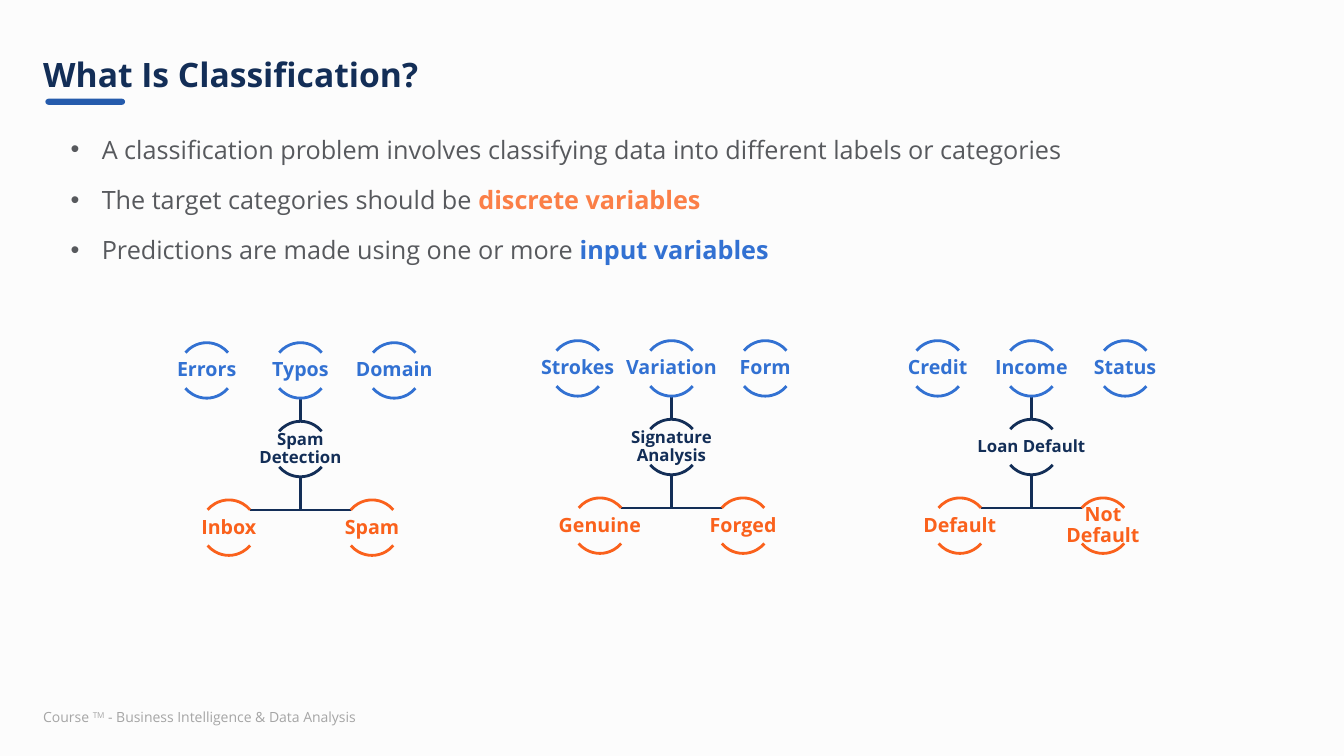
from dataclasses import dataclass

from lxml import etree
from pptx import Presentation
from pptx.dml.color import RGBColor
from pptx.enum.shapes import MSO_CONNECTOR, MSO_SHAPE
from pptx.enum.text import MSO_ANCHOR, PP_ALIGN
from pptx.oxml.ns import qn
from pptx.util import Inches, Pt

ARC, ROUNDED = MSO_SHAPE.ARC, MSO_SHAPE.ROUNDED_RECTANGLE
STRAIGHT = MSO_CONNECTOR.STRAIGHT
TOP, MIDDLE = MSO_ANCHOR.TOP, MSO_ANCHOR.MIDDLE
LEFT, CENTER = PP_ALIGN.LEFT, PP_ALIGN.CENTER


@dataclass(frozen=True)
class Theme:
    font: str = "Open Sans"
    background: str = "FCFCFC"
    navy: str = "132E57"
    rule: str = "255BAC"
    blue: str = "3271D2"
    orange: str = "FA611C"
    coral: str = "FB7F47"
    body: str = "57595D"
    muted: str = "A5A5A5"
    title_size: int = 24
    body_size: int = 18
    node_size: int = 14
    model_size: int = 12
    footer_size: int = 10
    line: int = 2


THEME = Theme()

TITLE = "What Is Classification?"
BULLETS = [
    ("A classification problem involves classifying data into different labels or categories", "", None),
    ("The target categories should be ", "discrete variables", THEME.coral),
    ("Predictions are made using one or more ", "input variables", THEME.blue),
]
FOOTER = ("Course ", "TM", " - Business Intelligence & Data Analysis")

# centre x, top y, inputs, model, outcomes
TREES = [
    (2.98, 3.40, ("Errors", "Typos", "Domain"), "Spam Detection", ("Inbox", "Spam")),
    (6.66, 3.38, ("Strokes", "Variation", "Form"), "Signature Analysis", ("Genuine", "Forged")),
    (10.23, 3.38, ("Credit", "Income", "Status"), "Loan Default", ("Default", "Not Default")),
]
CIRCLE = 0.55
ROW = 0.78
INPUT_STEP, OUTCOME_STEP = 0.93, 1.42
LABEL_WIDTH, LABEL_HEIGHT = 1.1, 0.35
BRANCH_REACH, BRANCH_DROP = 0.5, 0.33
ARC_ANGLES = [(132, 192), (24, 84)]


def color(value):
    return RGBColor.from_string(value)


def add_text(slide, box, margins, anchor=TOP):
    frame = slide.shapes.add_textbox(*map(Inches, box)).text_frame
    frame.word_wrap = True
    frame.vertical_anchor = anchor
    frame.margin_left = frame.margin_right = Inches(margins[0])
    frame.margin_top = frame.margin_bottom = Inches(margins[1])
    return frame


def style(paragraph, size, shade, bold=False, align=LEFT, spacing=1.0):
    paragraph.alignment = align
    paragraph.line_spacing = spacing
    font = paragraph.font
    font.name, font.size, font.bold = THEME.font, Pt(size), bold
    font.color.rgb = color(shade)


def add_line(slide, *ends):
    line = slide.shapes.add_connector(STRAIGHT, *map(Inches, ends))
    line.line.color.rgb = color(THEME.navy)
    line.line.width = Pt(THEME.line)
    etree.SubElement(line._element.spPr, qn("a:effectLst"))


def add_node(slide, x, y, text, shade, size):
    """Draw a label between two arcs of a circle whose top centre is (x, y)."""
    for angles in ARC_ANGLES:
        arc = slide.shapes.add_shape(ARC, *map(Inches, (x - CIRCLE / 2, y, CIRCLE, CIRCLE)))
        arc.adjustments[0], arc.adjustments[1] = angles
        arc.shadow.inherit = False
        arc.fill.background()
        arc.line.color.rgb = color(shade)
        arc.line.width = Pt(THEME.line)
    box = (x - LABEL_WIDTH / 2, y + (CIRCLE - LABEL_HEIGHT) / 2, LABEL_WIDTH, LABEL_HEIGHT)
    paragraph = add_text(slide, box, (0.01, 0.01), MIDDLE).paragraphs[0]
    paragraph.text = text
    style(paragraph, size, shade, True, CENTER, 0.9)


def add_tree(slide, x, top, inputs, model, outcomes):
    model_top, outcome_top = top + ROW, top + 2 * ROW
    branch_y = model_top + CIRCLE + BRANCH_DROP
    add_line(slide, x, top + CIRCLE, x, model_top)
    add_line(slide, x, model_top + CIRCLE, x, branch_y)
    add_line(slide, x - BRANCH_REACH, branch_y, x + BRANCH_REACH, branch_y)
    add_node(slide, x, model_top, model, THEME.navy, THEME.model_size)
    for labels, y, step, shade in (
        (inputs, top, INPUT_STEP, THEME.blue),
        (outcomes, outcome_top, OUTCOME_STEP, THEME.orange),
    ):
        for index, label in enumerate(labels):
            offset = (index - (len(labels) - 1) / 2) * step
            add_node(slide, x + offset, y, label, shade, THEME.node_size)


def add_heading(slide):
    bar = slide.shapes.add_shape(ROUNDED, *map(Inches, (0.45, 0.98, 0.79, 0.06)))
    bar.adjustments[0] = 0.5
    bar.shadow.inherit = False
    bar.fill.solid()
    bar.fill.fore_color.rgb = color(THEME.rule)
    bar.line.fill.background()
    paragraph = add_text(slide, (0.33, 0.38, 12.65, 0.77), (0.1, 0.05), MIDDLE).paragraphs[0]
    paragraph.text = TITLE
    style(paragraph, THEME.title_size, THEME.navy, True, spacing=0.9)


def add_bullets(slide):
    frame = add_text(slide, (0.45, 1.27, 12.44, 1.79), (0, 0))
    for index, (lead, emphasis, shade) in enumerate(BULLETS):
        paragraph = frame.add_paragraph() if index else frame.paragraphs[0]
        properties = paragraph._p.get_or_add_pPr()
        properties.set("marL", str(Inches(0.56)))
        properties.set("indent", str(Inches(-0.31)))
        etree.SubElement(properties, qn("a:buFont"), typeface="Arial")
        etree.SubElement(properties, qn("a:buChar"), char="•")
        style(paragraph, THEME.body_size, THEME.body, spacing=1.2)
        if index:
            paragraph.space_before = Pt(10)
        paragraph.add_run().text = lead
        if emphasis:
            run = paragraph.add_run()
            run.text = emphasis
            run.font.bold = True
            run.font.color.rgb = color(shade)


def add_footer(slide):
    paragraph = add_text(slide, (0.33, 6.98, 3.45, 0.27), (0.1, 0.05)).paragraphs[0]
    style(paragraph, THEME.footer_size, THEME.muted)
    name, mark, rest = (paragraph.add_run() for _ in FOOTER)
    name.text, mark.text, rest.text = FOOTER
    mark._r.get_or_add_rPr().set("baseline", "30000")


def main():
    presentation = Presentation()
    presentation.slide_width, presentation.slide_height = Inches(13.33), Inches(7.5)
    slide = presentation.slides.add_slide(presentation.slide_layouts[6])
    slide.background.fill.solid()
    slide.background.fill.fore_color.rgb = color(THEME.background)
    add_footer(slide)
    add_heading(slide)
    add_bullets(slide)
    for tree in TREES:
        add_tree(slide, *tree)
    presentation.save("out.pptx")


if __name__ == "__main__":
    main()
